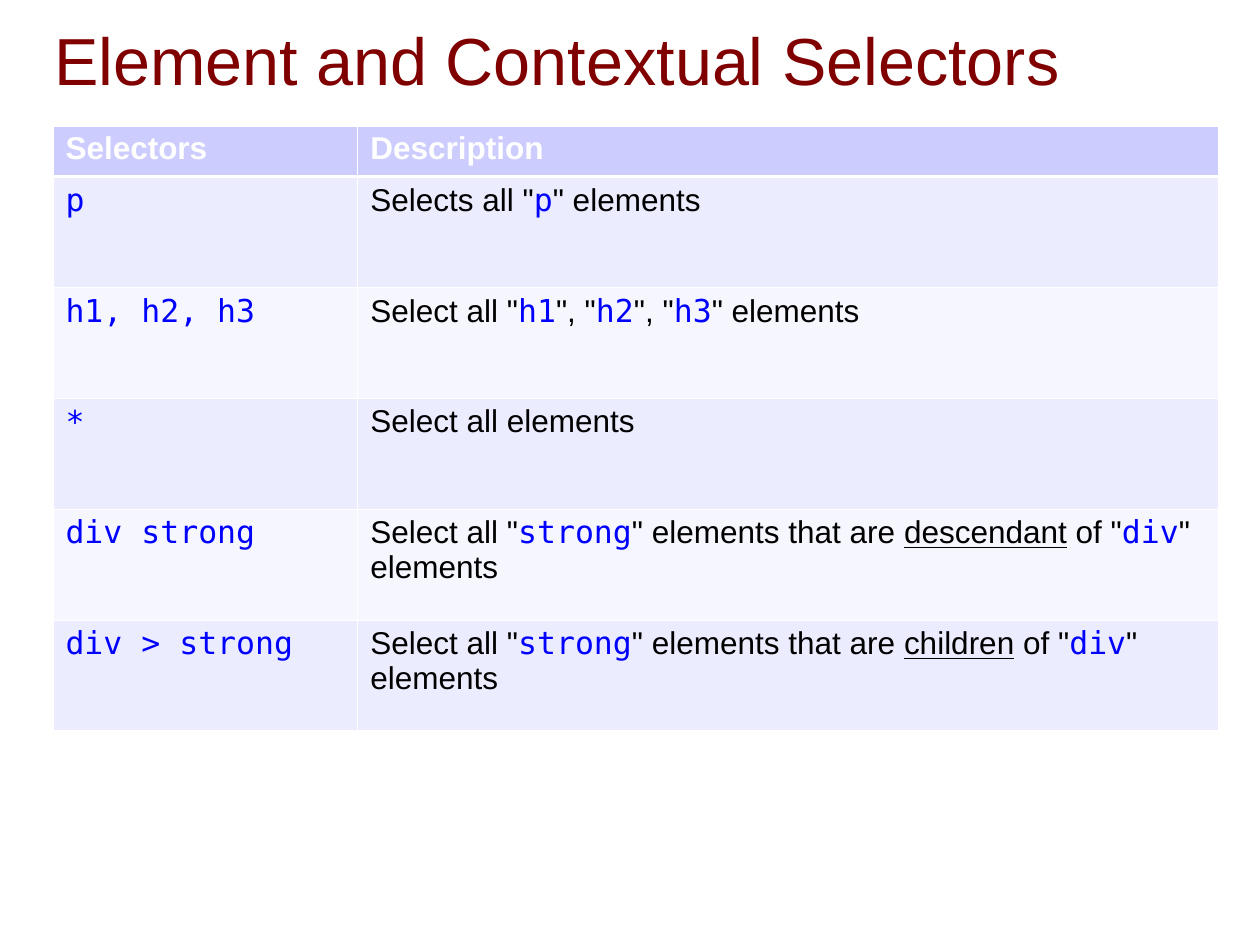
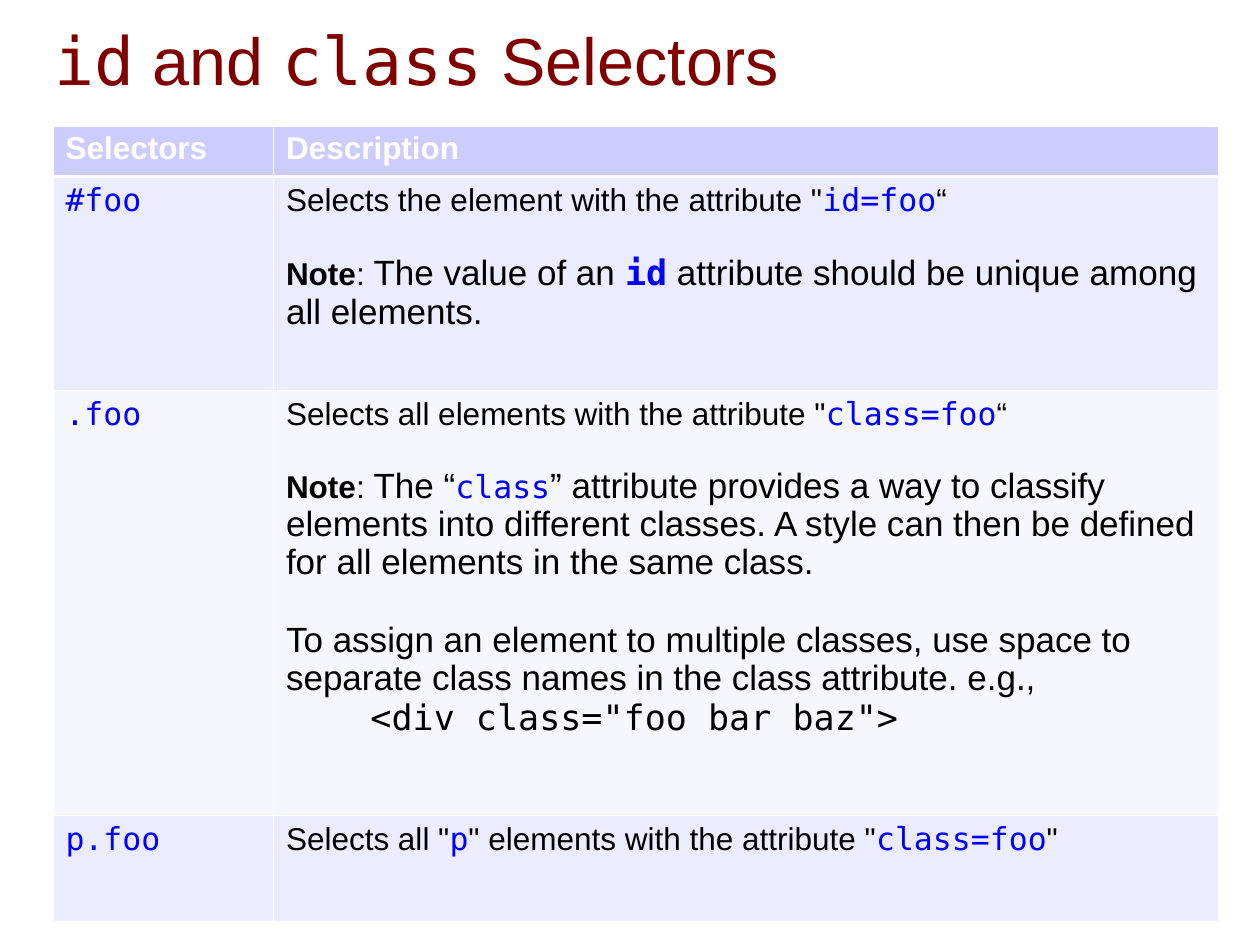
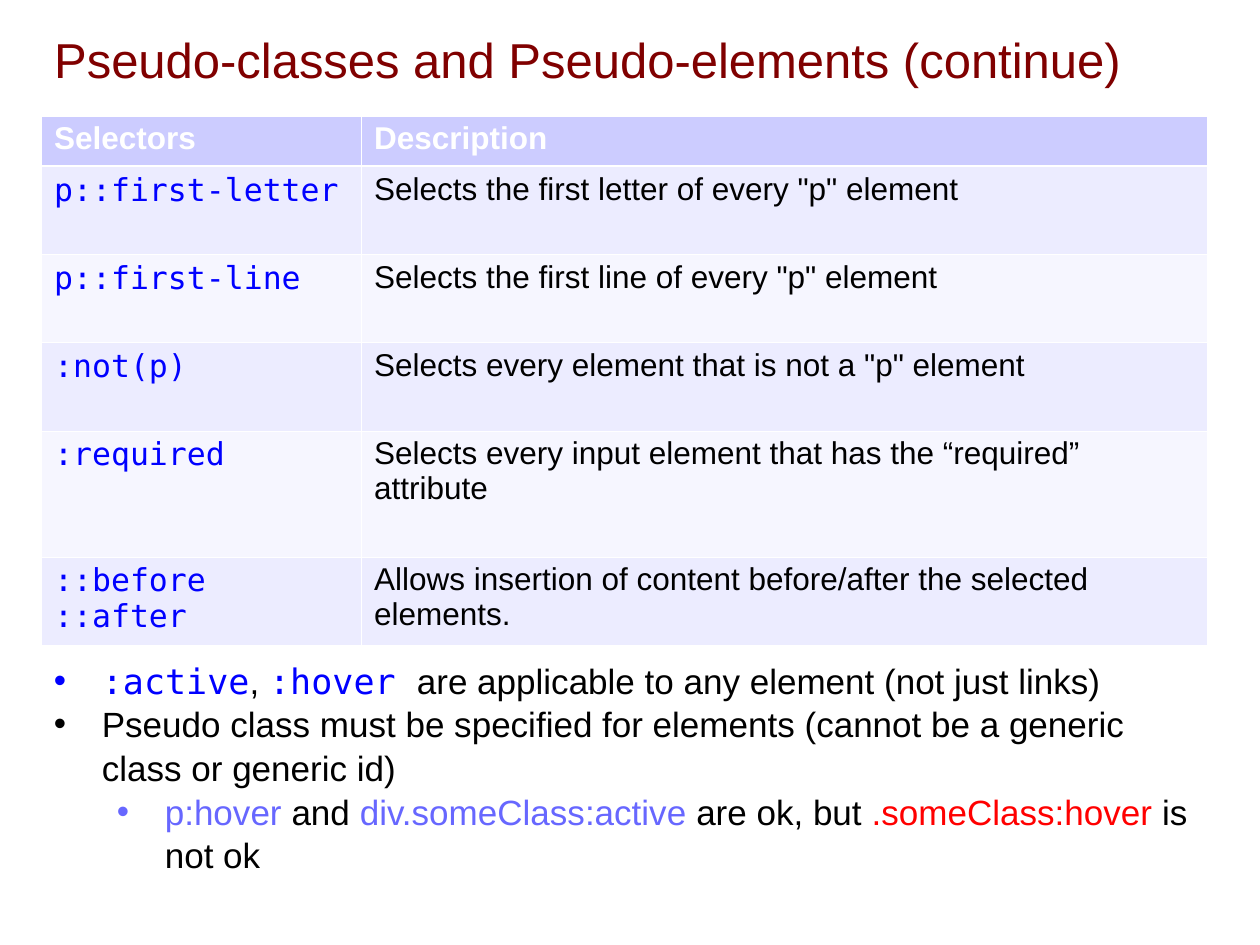
from lxml.etree import SubElement
from pptx import Presentation
from pptx.dml.color import RGBColor
from pptx.enum.text import MSO_ANCHOR, MSO_AUTO_SIZE, PP_ALIGN
from pptx.oxml.ns import qn
from pptx.util import Inches, Pt

MAROON = RGBColor(0x80, 0x00, 0x00)
BLACK = RGBColor(0x00, 0x00, 0x00)
WHITE = RGBColor(0xFF, 0xFF, 0xFF)
BLUE = RGBColor(0x00, 0x00, 0xFF)
PERIWINKLE = RGBColor(0x67, 0x67, 0xFF)
RED = RGBColor(0xFF, 0x00, 0x00)
HEADER = RGBColor(0xCC, 0xCC, 0xFF)
BANDS = [RGBColor(0xF6, 0xF6, 0xFF), RGBColor(0xEC, 0xEC, 0xFF)]
SANS = "Arial"
MONO = "DejaVu Sans Mono"

CODE = dict(font=MONO, color=BLUE)
HEAD = dict(color=WHITE, bold=True)
BOLD = dict(bold=True)
LINE = dict(underline=True)
BIG = dict(size=20)
OK = dict(color=PERIWINKLE)
BAD = dict(color=RED)


def add_run(p, text, size=18, font=SANS, color=BLACK, bold=False, underline=False):
    r = p.add_run()
    r.text = text
    r.font.size = Pt(size)
    r.font.name = font
    r.font.color.rgb = color
    r.font.bold = bold
    r.font.underline = underline


def add_border(cell, side, width):
    ln = SubElement(cell._tc.get_or_add_tcPr(), qn(f"a:ln{side}"), w=str(Pt(width)))
    fill = SubElement(ln, qn("a:solidFill"))
    SubElement(fill, qn("a:srgbClr"), val=str(WHITE))


# Each description is a list of (space before, runs); each run is (text, format).
slides = [
    dict(
        title=[("Element and Contextual Selectors", {})],
        title_size=38, left=0.42, top=1, cols=[2.42, 6.83],
        heights=[0.4] + [0.88] * 5,
        rows=[
            (["p"], [(0, [('Selects all "', {}), ("p", CODE), ('" elements', {})])]),
            (["h1, h2, h3"], [(0, [
                ('Select all "', {}), ("h1", CODE), ('", "', {}), ("h2", CODE),
                ('", "', {}), ("h3", CODE), ('" elements', {})])]),
            (["*"], [(0, [("Select all elements", {})])]),
        ] + [
            ([selector], [(0, [
                ('Select all "', {}), ("strong", CODE), ('" elements that are ', {}),
                (relation, LINE), (' of "', {}), ("div", CODE), ('" elements', {})])])
            for selector, relation in [("div strong", "descendant"),
                                       ("div > strong", "children")]
        ],
    ),
    dict(
        title=[("id", dict(font=MONO)), (" and ", {}),
               ("class", dict(font=MONO)), (" Selectors", {})],
        title_size=38, left=0.42, top=1, cols=[1.75, 7.5],
        heights=[0.4, 1.7, 3.37, 0.84],
        rows=[
            (["#foo"], [
                (0, [('Selects the element with the attribute "', {}),
                     ("id=foo", CODE), ("“", {})]),
                (20, [("Note", BOLD), (": ", {}), ("The value of an ", BIG),
                      ("id", dict(CODE, size=20, bold=True)),
                      (" attribute should be unique among all elements.", BIG)])]),
            ([".foo"], [
                (0, [('Selects all elements with the attribute "', {}),
                     ("class=foo", CODE), ("“", {})]),
                (20, [("Note", BOLD), (": ", {}), ("The “", BIG), ("class", CODE),
                      ("” attribute provides a way to classify elements into "
                       "different classes. A style can then be defined for all "
                       "elements in the same class.", BIG)]),
                (22.5, [("To assign an element to multiple classes, use space to "
                         "separate class names in the class attribute. e.g.,", BIG)]),
                (0, [('    <div class="foo bar baz">', dict(size=20, font=MONO))])]),
            (["p.foo"], [(0, [
                ('Selects all "', {}), ("p", CODE),
                ('" elements with the attribute "', {}),
                ("class=foo", CODE), ('"', {})])]),
        ],
    ),
    dict(
        title=[("Pseudo-classes and Pseudo-elements (continue)", {})],
        title_size=28, left=0.33, top=0.92, cols=[2.54, 6.71],
        heights=[0.4, 0.7, 0.7, 0.7, 1, 0.7],
        rows=[
            (selectors, [(0, [(text, {})])]) for selectors, text in [
                (["p::first-letter"], 'Selects the first letter of every "p" element'),
                (["p::first-line"], 'Selects the first line of every "p" element'),
                ([":not(p)"], 'Selects every element that is not a "p" element'),
                ([":required"],
                 "Selects every input element that has the “required” attribute"),
                (["::before", "::after"],
                 "Allows insertion of content before/after the selected elements."),
            ]
        ],
    ),
]

prs = Presentation()
prs.slide_width = Inches(10)
prs.slide_height = Inches(7.5)

for page in slides:
    s = prs.slides.add_slide(prs.slide_layouts[5])
    title = s.shapes.title
    title.left, title.top = Inches(0.33), Inches(0.18)
    title.width, title.height = Inches(9.5), Inches(0.57)
    tf = title.text_frame
    tf.word_wrap = True
    tf.auto_size = MSO_AUTO_SIZE.NONE
    tf.vertical_anchor = MSO_ANCHOR.MIDDLE
    p = tf.paragraphs[0]
    p.alignment = PP_ALIGN.LEFT
    for text, fmt in page["title"]:
        add_run(p, text, size=page["title_size"], color=MAROON, **fmt)

    heights = page["heights"]
    table = s.shapes.add_table(
        len(heights), 2, Inches(page["left"]), Inches(page["top"]),
        Inches(sum(page["cols"])), Inches(sum(heights))).table
    table.horz_banding = False
    for column, width in zip(table.columns, page["cols"]):
        column.width = Inches(width)
    for row, height in zip(table.rows, heights):
        row.height = Inches(height)

    grid = [[[(0, [(name, HEAD)])] for name in ("Selectors", "Description")]]
    for selectors, description in page["rows"]:
        grid.append([[(0, [(name, CODE)]) for name in selectors], description])

    for i, contents in enumerate(grid):
        for j, paragraphs in enumerate(contents):
            cell = table.cell(i, j)
            for side in "LRTB":
                thick = (i, side) in [(0, "B"), (1, "T")]
                add_border(cell, side, 1.47 if thick else 0.45)
            cell.fill.solid()
            cell.fill.fore_color.rgb = BANDS[i % 2] if i else HEADER
            tf = cell.text_frame
            for k, (space, runs) in enumerate(paragraphs):
                p = tf.add_paragraph() if k else tf.paragraphs[0]
                p.line_spacing = 0.98
                if space:
                    p.space_before = Pt(space)
                for text, fmt in runs:
                    add_run(p, text, **fmt)

notes = [
    (0, 0.38, BLUE, [(":active", CODE), (", ", {}), (":hover ", CODE),
                     ("are applicable to any element (not just links)", {})]),
    (0, 0.38, BLACK, [("Pseudo class must be specified for elements "
                       "(cannot be a generic class or generic id)", {})]),
    (2, 0.88, PERIWINKLE, [("p:hover", OK), (" and ", {}),
                           ("div.someClass:active", OK), (" are ok, but ", {}),
                           (".someClass:hover", BAD), (" is not ok", {})]),
]
box = s.shapes.add_textbox(Inches(0.33), Inches(5.17), Inches(9.25), Inches(1.77))
tf = box.text_frame
tf.word_wrap = True
tf.auto_size = MSO_AUTO_SIZE.SHAPE_TO_FIT_TEXT
for k, (level, indent, color, runs) in enumerate(notes):
    p = tf.add_paragraph() if k else tf.paragraphs[0]
    p.level = level
    p.line_spacing = 1.04
    pPr = p._p.get_or_add_pPr()
    pPr.set("marL", str(Inches(indent)))
    pPr.set("indent", str(Inches(-0.38)))
    SubElement(SubElement(pPr, qn("a:buClr")), qn("a:srgbClr"), val=str(color))
    SubElement(pPr, qn("a:buFont"), typeface=SANS)
    SubElement(pPr, qn("a:buChar"), char="•")
    for text, fmt in runs:
        add_run(p, text, size=20, **fmt)

prs.save("out.pptx")
